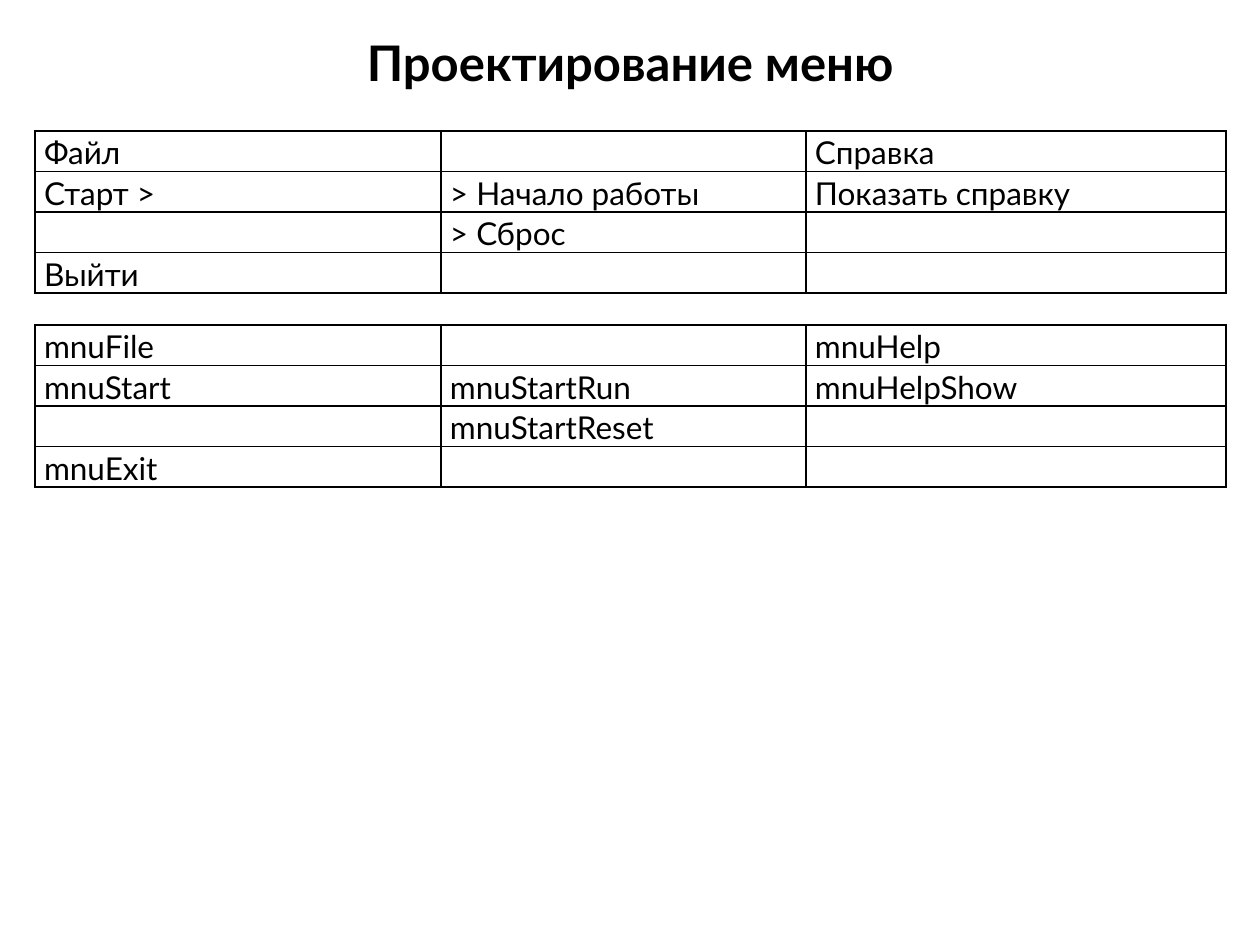
from dataclasses import dataclass

from lxml.etree import SubElement
from pptx import Presentation
from pptx.dml.color import RGBColor
from pptx.enum.text import PP_ALIGN
from pptx.oxml.ns import qn
from pptx.slide import Slide
from pptx.table import _Cell
from pptx.util import Pt

PX = 914400 / 126
BLACK = RGBColor(0x00, 0x00, 0x00)
TITLE_FONT = {"name": "Lato", "size": Pt(28), "bold": True}
CELL_FONT = {"name": "Lato", "size": Pt(18), "bold": False}
COLUMNS = (406, 365, 420)
ROW_HEIGHT = 40
TABLE_LEFT = 35
CELL_PADDING = 9


@dataclass(frozen=True)
class MenuTable:
    top: int
    rows: tuple[tuple[str, str, str], ...]


TABLES = (
    MenuTable(131, (
        ("Файл", "", "Справка"),
        ("Старт >", "> Начало работы", "Показать справку"),
        ("", "> Сброс", ""),
        ("Выйти", "", ""),
    )),
    MenuTable(325, (
        ("mnuFile", "", "mnuHelp"),
        ("mnuStart", "mnuStartRun", "mnuHelpShow"),
        ("", "mnuStartReset", ""),
        ("mnuExit", "", ""),
    )),
)


def px(n: int) -> int:
    return round(n * PX)


def add_run(p, text: str, font: dict) -> None:
    r = p.add_run()
    r.text = text
    for name, value in font.items():
        setattr(r.font, name, value)
    r.font.color.rgb = BLACK


def add_title(s: Slide, text: str) -> None:
    sp = s.shapes.add_textbox(px(15), px(26), px(1230), px(72))
    tf = sp.text_frame
    tf.word_wrap = True
    p = tf.paragraphs[0]
    p.alignment = PP_ALIGN.CENTER
    add_run(p, text, TITLE_FONT)


def add_borders(cell: _Cell) -> None:
    tc_pr = cell._tc.get_or_add_tcPr()
    for side in ("lnL", "lnR", "lnT", "lnB"):
        ln = SubElement(tc_pr, qn(f"a:{side}"), w=str(Pt(1)))
        fill = SubElement(ln, qn("a:solidFill"))
        SubElement(fill, qn("a:srgbClr"), val=str(BLACK))


def fill_cell(cell: _Cell, text: str) -> None:
    cell.margin_left = cell.margin_right = px(CELL_PADDING)
    cell.margin_top = cell.margin_bottom = 0
    add_borders(cell)
    cell.fill.background()
    p = cell.text_frame.paragraphs[0]
    p.line_spacing = 1.07
    if text:
        add_run(p, text, CELL_FONT)


def add_menu_table(s: Slide, menu: MenuTable) -> None:
    count = len(menu.rows)
    table = s.shapes.add_table(
        count, len(COLUMNS), px(TABLE_LEFT), px(menu.top),
        px(sum(COLUMNS)), px(ROW_HEIGHT * count)).table
    table.first_row = table.horz_banding = False
    for column, width in zip(table.columns, COLUMNS):
        column.width = px(width)
    for row, texts in zip(table.rows, menu.rows):
        row.height = px(ROW_HEIGHT)
        for cell, text in zip(row.cells, texts):
            fill_cell(cell, text)


def main() -> None:
    prs = Presentation()
    prs.slide_width, prs.slide_height = px(1260), px(945)
    s = prs.slides.add_slide(prs.slide_layouts[6])
    add_title(s, "Проектирование меню")
    for menu in TABLES:
        add_menu_table(s, menu)
    prs.save("out.pptx")


if __name__ == "__main__":
    main()
